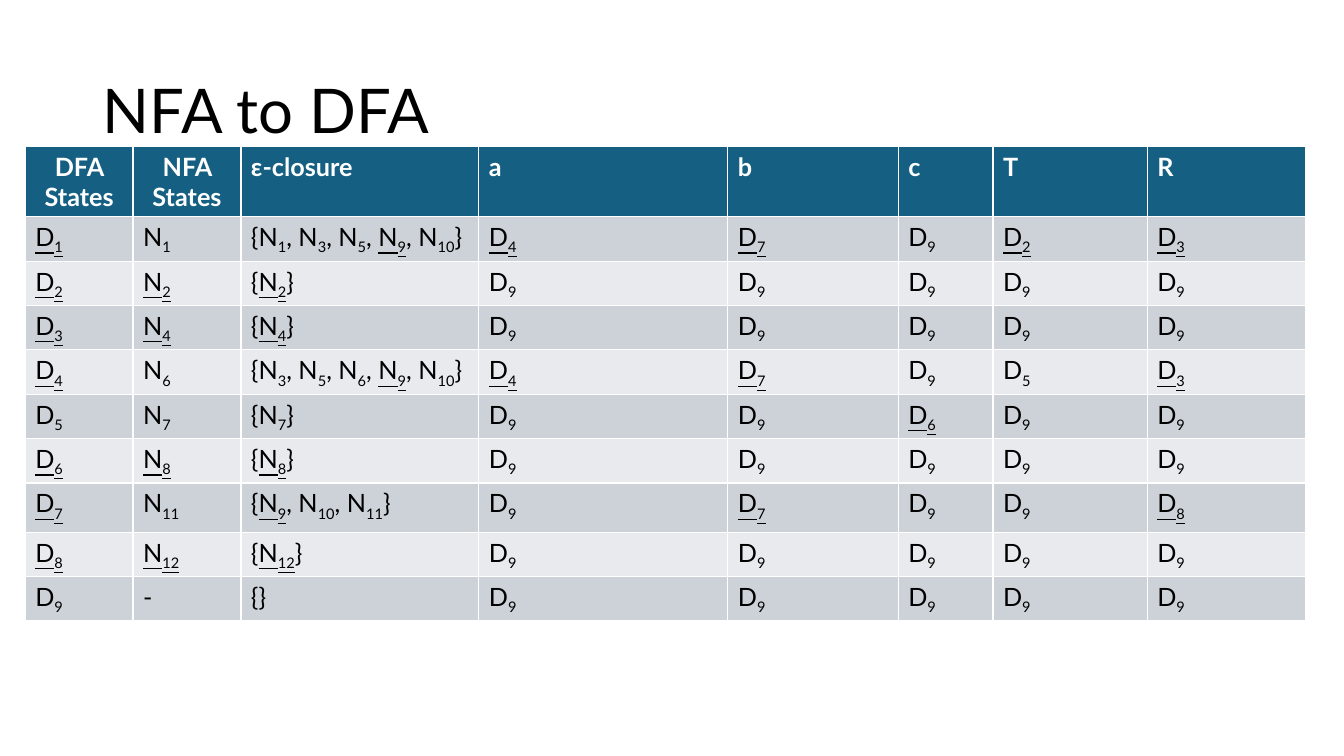
from dataclasses import dataclass
from itertools import groupby

from pptx import Presentation
from pptx.dml.color import RGBColor
from pptx.enum.text import MSO_ANCHOR as Anchor, MSO_AUTO_SIZE as AutoSize, PP_ALIGN as Align
from pptx.util import Inches, Pt

FONT = "Lato"
BLACK, WHITE = "000000", "FFFFFF"
HEADER_FILL = "156082"
BAND_FILLS = ("CCD2D8", "E8EAED")
ACCEPTING = {"D": {1, 2, 3, 4, 6, 7, 8}, "N": {2, 4, 8, 9, 12}}
HEADINGS = ("DFA States", "NFA States", "ε-closure", "a", "b", "c", "T", "R")
CENTRED_HEADINGS = 2
COL_SPANS = (10.7, 10.7, 23.6, 24.7, 16.9, 9.4, 15.3, 15.7)
ROW_SPANS = (7, 4.4, 4, 4, 3.8, 4, 4, 4.9, 4, 4)


@dataclass(frozen=True)
class Piece:
    text: str
    underline: bool = False
    subscript: bool = False


@dataclass(frozen=True)
class Transition:
    nfa: int | None
    closure: tuple[int, ...]
    moves: tuple[int, ...]


DEAD = (9,) * 5
TRANSITIONS = (
    Transition(1, (1, 3, 5, 9, 10), (4, 7, 9, 2, 3)),
    Transition(2, (2,), DEAD),
    Transition(4, (4,), DEAD),
    Transition(6, (3, 5, 6, 9, 10), (4, 7, 9, 5, 3)),
    Transition(7, (7,), (9, 9, 6, 9, 9)),
    Transition(8, (8,), DEAD),
    Transition(11, (9, 10, 11), (9, 7, 9, 9, 8)),
    Transition(12, (12,), DEAD),
    Transition(None, (), DEAD),
)


def grid(units: float) -> int:
    return Inches(units / 10)


def rgb(value: str) -> RGBColor:
    return RGBColor.from_string(value)


def style(font, size: float, color: str, bold: bool = False) -> None:
    font.name = FONT
    font.size = Pt(size)
    font.bold = bold
    font.color.rgb = rgb(color)


def state(kind: str, number: int) -> list[Piece]:
    accepting = number in ACCEPTING[kind]
    return [Piece(kind, accepting), Piece(str(number), accepting, True)]


def closure(numbers: tuple[int, ...]) -> list[Piece]:
    pieces = [Piece("{")]
    for i, number in enumerate(numbers):
        if i:
            pieces.append(Piece(", "))
        pieces += state("N", number)
    return pieces + [Piece("}")]


def fill_cell(cell, color: str) -> None:
    cell.fill.solid()
    cell.fill.fore_color.rgb = rgb(color)


def write_heading(cell, text: str, centred: bool) -> None:
    fill_cell(cell, HEADER_FILL)
    cell.text_frame.text = text
    p = cell.text_frame.paragraphs[0]
    p.alignment = Align.CENTER if centred else Align.LEFT
    style(p.runs[0].font, 18, WHITE, True)


def write_pieces(cell, pieces: list[Piece], color: str) -> None:
    fill_cell(cell, color)
    p = cell.text_frame.paragraphs[0]
    for (underline, subscript), group in groupby(pieces, lambda x: (x.underline, x.subscript)):
        r = p.add_run()
        r.text = "".join(piece.text for piece in group)
        style(r.font, 18, BLACK)
        r.font.underline = underline
        if subscript:
            r.font._element.set("baseline", "-25000")


def add_title(s, text: str) -> None:
    title = s.shapes.title
    title.left, title.top = grid(9.2), grid(4)
    title.width, title.height = grid(115), grid(14.5)
    tf = title.text_frame
    tf.text = text
    tf.auto_size = AutoSize.NONE
    tf.vertical_anchor = Anchor.MIDDLE
    p = tf.paragraphs[0]
    p.alignment = Align.LEFT
    p.line_spacing = 0.9
    style(p.runs[0].font, 44, BLACK)


def add_transition_table(s) -> None:
    table = s.shapes.add_table(
        len(ROW_SPANS), len(COL_SPANS), grid(2.5), grid(14.5),
        grid(sum(COL_SPANS)), grid(sum(ROW_SPANS)),
    ).table
    for column, span in zip(table.columns, COL_SPANS):
        column.width = grid(span)
    for row, span in zip(table.rows, ROW_SPANS):
        row.height = grid(span)
    for i, heading in enumerate(HEADINGS):
        write_heading(table.cell(0, i), heading, i < CENTRED_HEADINGS)
    for dfa, t in enumerate(TRANSITIONS, 1):
        nfa = state("N", t.nfa) if t.nfa else [Piece("-")]
        entries = [state("D", dfa), nfa, closure(t.closure)]
        entries += [state("D", move) for move in t.moves]
        for i, pieces in enumerate(entries):
            write_pieces(table.cell(dfa, i), pieces, BAND_FILLS[(dfa - 1) % 2])


def main() -> None:
    prs = Presentation()
    prs.slide_width, prs.slide_height = Inches(13.33), Inches(7.5)
    s = prs.slides.add_slide(prs.slide_layouts[5])
    add_title(s, "NFA to DFA")
    add_transition_table(s)
    prs.save("out.pptx")


if __name__ == "__main__":
    main()
